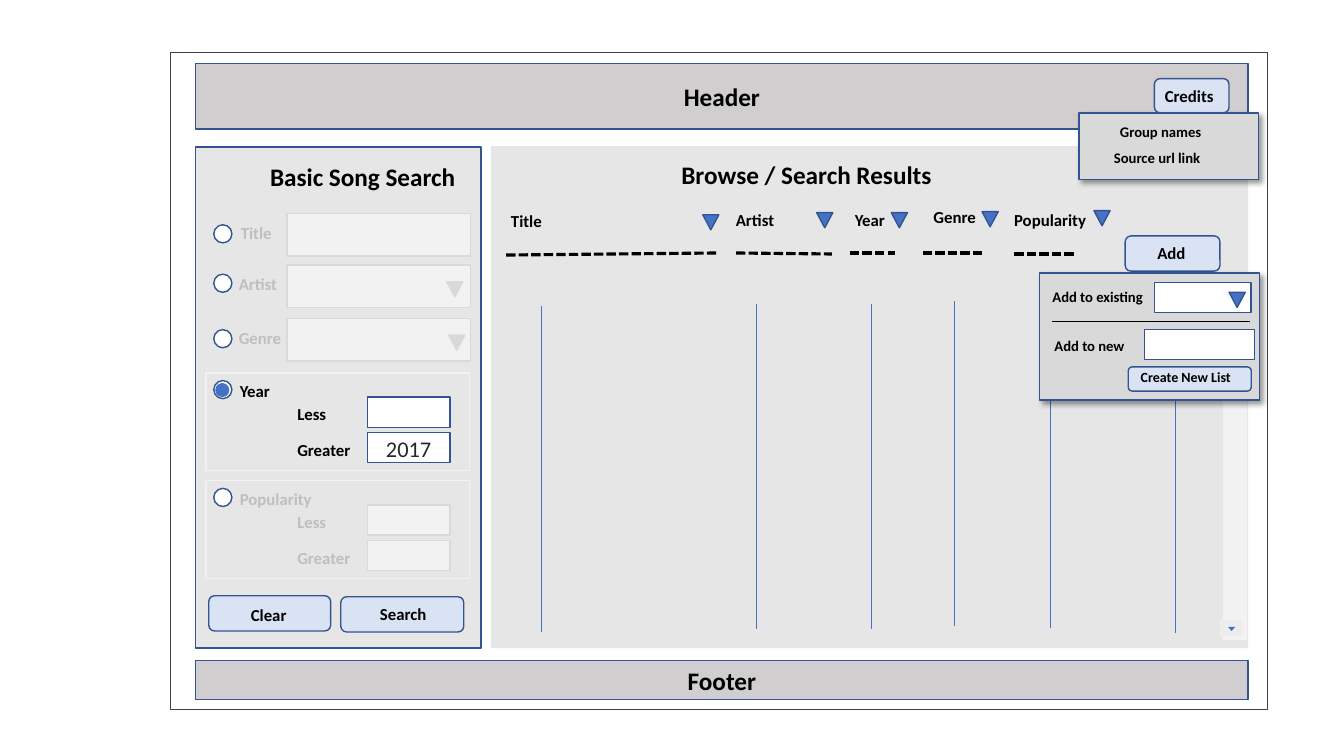
from dataclasses import dataclass
from typing import Any
from lxml.etree import SubElement
from pptx import Presentation
from pptx.dml.color import RGBColor
from pptx.enum.dml import MSO_LINE
from pptx.enum.shapes import MSO_CONNECTOR, MSO_SHAPE
from pptx.enum.text import MSO_ANCHOR, PP_ALIGN
from pptx.oxml.ns import qn
from pptx.util import Inches, Pt

BLACK = RGBColor(0x00, 0x00, 0x00)
WHITE = RGBColor(0xFF, 0xFF, 0xFF)
INK = RGBColor(0x26, 0x26, 0x26)
FRAME = RGBColor(0x40, 0x40, 0x40)
NAVY = RGBColor(0x32, 0x54, 0x91)
BLUE = RGBColor(0x44, 0x72, 0xC4)
SKY = RGBColor(0xDA, 0xE3, 0xF3)
BAND = RGBColor(0xD0, 0xCE, 0xCE)
PANEL = RGBColor(0xE7, 0xE6, 0xE6)
KNOB = RGBColor(0xED, 0xED, 0xED)
PALE = RGBColor(0xF2, 0xF2, 0xF2)
EDGE = RGBColor(0xD9, 0xD9, 0xD9)
FADED = RGBColor(0xBF, 0xBF, 0xBF)

RECT, ROUND = MSO_SHAPE.RECTANGLE, MSO_SHAPE.ROUNDED_RECTANGLE
OVAL, WEDGE = MSO_SHAPE.OVAL, MSO_SHAPE.ISOSCELES_TRIANGLE


@dataclass
class Board:
    slide: Any
    font: str = "Calibri"
    cell: float = 0.1

    def grid(self, *counts):
        return [Inches(count * self.cell) for count in counts]

    def box(self, x, y, w, h, fill=None, line=None, kind=RECT):
        shape = self.slide.shapes.add_shape(kind, *self.grid(x, y, w, h))
        shape.shadow.inherit = False
        if fill is None:
            shape.fill.background()
        else:
            shape.fill.solid()
            shape.fill.fore_color.rgb = fill
        if line is None:
            shape.line.fill.background()
        else:
            shape.line.color.rgb = line
            shape.line.width = Pt(1)
        return shape

    def letter(self, shape, text, size, color, bold, align):
        para = shape.text_frame.paragraphs[0]
        para.text = text
        para.alignment = align
        para.font.name = self.font
        para.font.size = Pt(size)
        para.font.bold = bold
        para.font.color.rgb = color

    def label(self, text, x, y, w, h=3, size=12, color=BLACK, bold=True, align=PP_ALIGN.LEFT):
        shape = self.slide.shapes.add_textbox(*self.grid(x, y, w, h))
        shape.text_frame.word_wrap = True
        self.letter(shape, text, size, color, bold, align)

    def band(self, text, y, h):
        shape = self.box(19.4, y, 104.4, h, BAND, NAVY)
        shape.text_frame.vertical_anchor = MSO_ANCHOR.MIDDLE
        self.letter(shape, text, 18, BLACK, True, PP_ALIGN.CENTER)

    def wedge(self, x, y, fill=BLUE, line=NAVY, w=1.6, h=1.5):
        self.box(x, y, w, h, fill, line, WEDGE).rotation = 180

    def button(self, x, y, w, h=3.5):
        self.box(x, y, w, h, SKY, NAVY, ROUND)

    def radio(self, y):
        self.box(21.2, y, 1.8, 1.8, WHITE, NAVY, OVAL)

    def rule(self, x1, y1, x2, y2, color=BLACK, width=0.75, dash=None):
        line = self.slide.shapes.add_connector(MSO_CONNECTOR.STRAIGHT, *self.grid(x1, y1, x2, y2))
        line.line.color.rgb = color
        line.line.width = Pt(width)
        if dash:
            line.line.dash_style = dash
        SubElement(line._element.spPr, qn("a:effectLst"))

    def popup(self, x, y, w, h):
        shape = self.box(x, y, w, h, EDGE, NAVY)
        glow = shape._element.spPr.find(qn("a:effectLst"))
        cast = SubElement(glow, qn("a:outerShdw"), blurRad=str(Pt(4)), dist=str(Pt(3)),
                          dir="2700000", algn="tl", rotWithShape="0")
        tint = SubElement(cast, qn("a:srgbClr"), val=str(BLACK))
        SubElement(tint, qn("a:alpha"), val="40000")

    def bounds(self, name, top, text, fill, line):
        self.box(20.45, top, 26.1, 9.7, None, PALE)
        self.label(name, 22.8, top + 0.3, 15.2, color=text)
        for part, drop in (("Less", 2.4), ("Greater", 5.9)):
            self.box(36.45, top + drop, 8.2, 3, fill, line)
            self.label(part, 28.5, top + drop + 0.2, 10.8, color=text)
        self.radio(top + 0.75)


def search(board):
    board.box(19.4, 14.6, 28.3, 49.7, PANEL, NAVY)
    board.label("Basic Song Search", 25.8, 15.5, 26.1, 4, 18)
    rows = (("Title", 22.9, 21.2, 22.3, None), ("Artist", 22.7, 26.3, 27.2, 44.3),
            ("Genre", 22.7, 31.6, 32.7, 44.5))
    for name, x, y, dot, mark in rows:
        board.box(28.45, y, 18.2, 4.2, PALE, EDGE)
        board.label(name, x, y + 0.4, 8.7, color=FADED)
        board.radio(dot)
        if mark:
            board.wedge(mark, y + 1.65, EDGE, EDGE)
    board.bounds("Year", 37, BLACK, WHITE, NAVY)
    board.box(21.35, 38, 1.4, 1.4, BLUE, None, OVAL)
    board.label("2017", 37.3, 42.7, 7.3, 3.7, 16, INK, False)
    board.bounds("Popularity", 47.7, FADED, PALE, EDGE)
    board.button(20.7, 59.1, 12.1)
    board.label("Clear", 21.6, 59.5, 10.1, align=PP_ALIGN.CENTER)
    board.button(33.8, 59.2, 12.2)
    board.label("Search", 36.7, 59.4, 10.7)


def browse(board):
    board.box(48.7, 14.5, 75.1, 49.8, PANEL)
    board.label("Browse / Search Results", 66.6, 15.3, 28, 4, 18)
    heads = (("Title", 49.7, 20.4, 69.7, 21.3, 50.2, 25.3, 71.1, 25.1),
             ("Artist", 72, 20.3, 81, 21.1, 73, 25.1, 82.5, 25.2),
             ("Year", 83.8, 20.3, 88.4, 21.1, 84.3, 25.1, 88.8, 25.1),
             ("Genre", 91.6, 20, 97.4, 21, 91.5, 25.1, 97.6, 25.1),
             ("Popularity", 99.6, 20.3, 108.5, 20.9, 100.6, 25.2, 106.6, 25.2))
    for name, x, y, mark, top, *ends in heads:
        board.label(name, x, y, 9.6)
        board.wedge(mark, top)
        board.rule(*ends, width=2.25, dash=MSO_LINE.SQUARE_DOT)
    for x, y in ((53.7, 30.4), (75, 30.2), (86.4, 30.2), (94.7, 29.9), (104.2, 30.1), (116.6, 30.5)):
        board.rule(x, y, x, y + 32.25, BLUE, 0.5)
    board.button(111.6, 23.4, 9.4)
    board.label("Add", 113.8, 23.6, 6)
    board.box(121.3, 31, 2.4, 32.5, PALE)
    board.box(121, 61.5, 2.2, 1.6, KNOB)
    board.wedge(121.8, 62.2, line=None, w=0.7, h=0.4)


def popups(board):
    board.button(114.5, 7.8, 7.4, 3.4)
    board.label("Credits", 114.2, 8, 7.5, align=PP_ALIGN.CENTER)
    board.popup(107, 11.2, 17.8, 6.6)
    board.label("Group names", 110.1, 11.7, 11.8, 2.8, 10.5)
    board.label("Source url link", 109.5, 14.3, 12.4, 2.8, 10.5)
    board.popup(103.1, 27.1, 21.8, 12.6)
    board.box(114.5, 28, 9.6, 3, WHITE, NAVY)
    board.label("Add to existing", 103.4, 28.1, 11.6, 2.8, 10.5)
    board.wedge(121.9, 29)
    board.rule(104.3, 31.9, 124, 31.9)
    board.box(113.5, 32.7, 10.9, 3, WHITE, NAVY)
    board.label("Add to new", 103.6, 32.9, 9.9, 2.8, 10.5)
    board.button(111.9, 36.4, 12.2, 2.4)
    board.label("Create New List", 111.9, 36.1, 11.4, 2.7, 10, align=PP_ALIGN.CENTER)


def main():
    deck = Presentation()
    deck.slide_width, deck.slide_height = Inches(13.33), Inches(7.5)
    board = Board(deck.slides.add_slide(deck.slide_layouts[6]))
    board.box(16.9, 5.2, 108.8, 65.2, None, FRAME)
    board.band("Header", 6.3, 6.5)
    board.band("Footer", 65.5, 3.9)
    search(board)
    browse(board)
    popups(board)
    deck.save("out.pptx")


if __name__ == "__main__":
    main()
